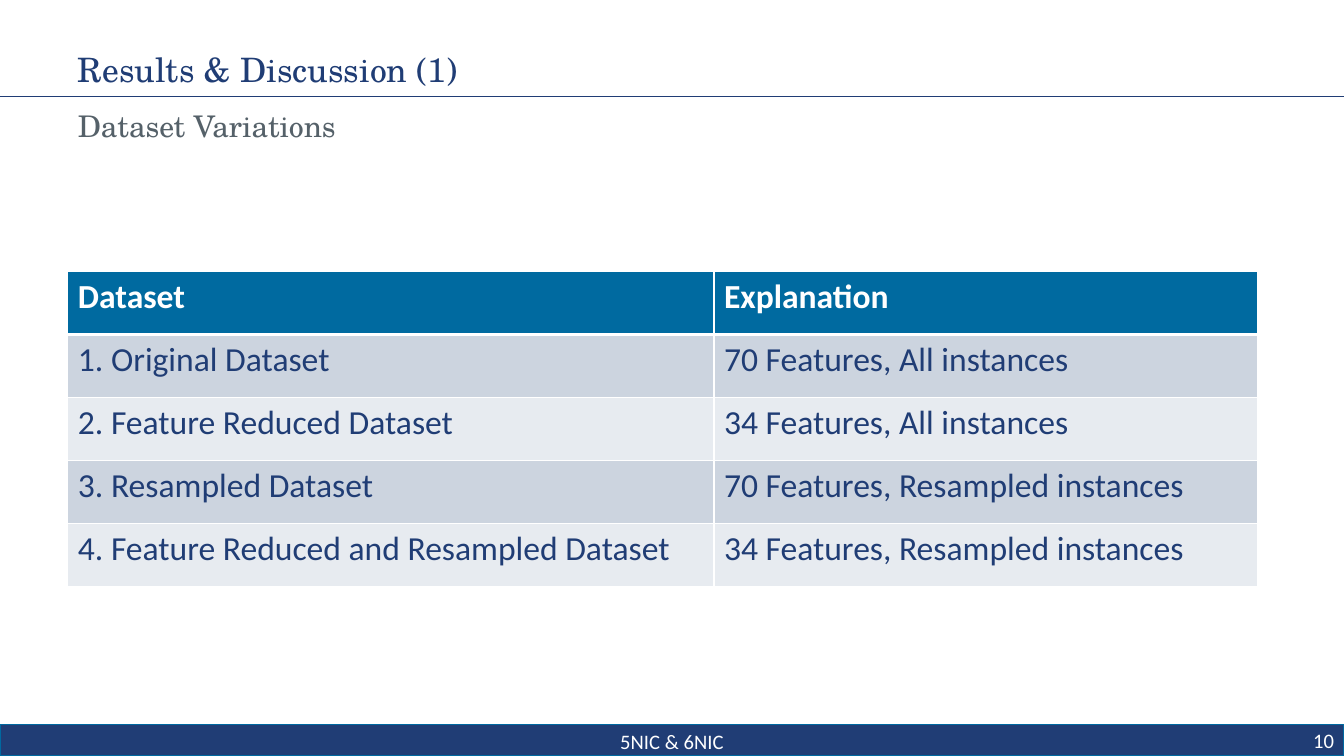
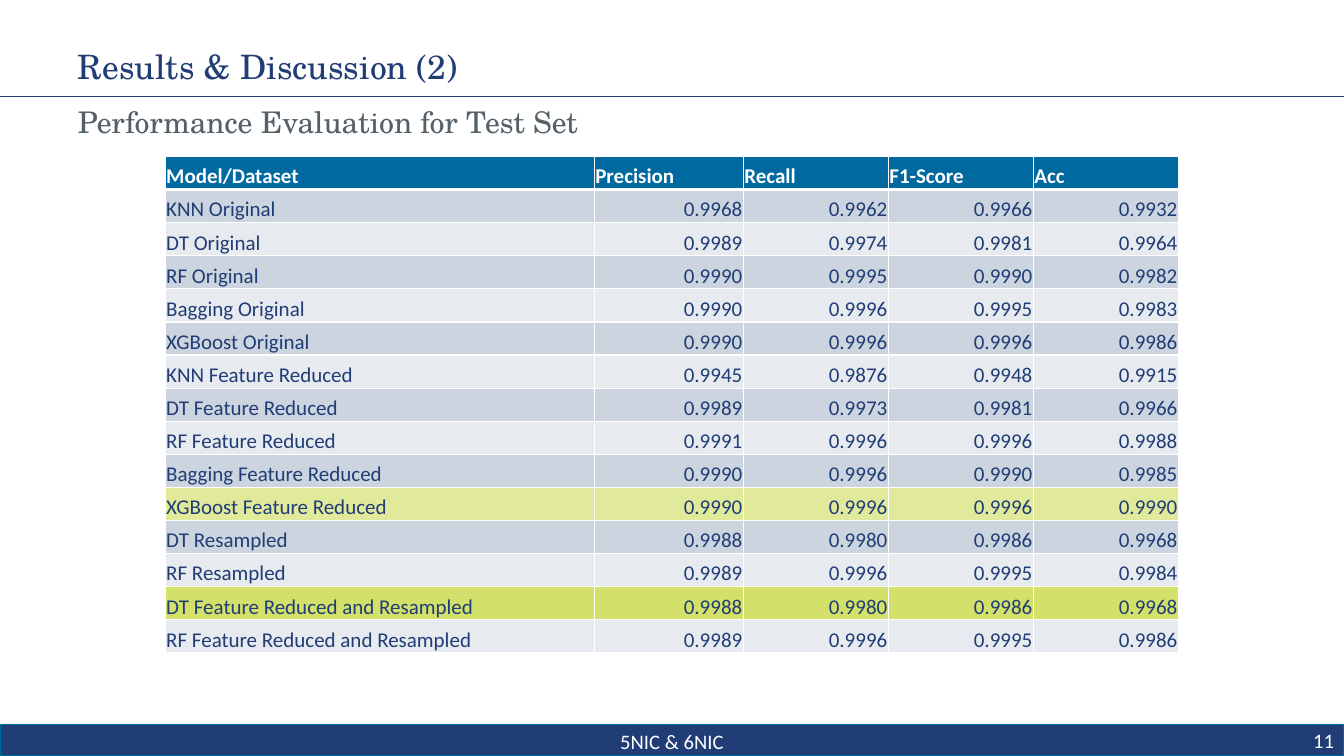
import pptx
import pptx.util
import pptx.dml.color
import pptx.enum.shapes
import pptx.enum.text
import pptx.oxml
import pptx.oxml.ns

Pt = pptx.util.Pt
ALIGN = pptx.enum.text.PP_ALIGN
ANCHOR = pptx.enum.text.MSO_ANCHOR
SERIF = "TeX Gyre Schola"
SANS = "Calibri"
WIDE, HIGH = 960, 540
LEFT = 48.5
COLORS = {
    "navy": "203D75",
    "gray": "556169",
    "white": "FFFFFF",
    "edge": "0069A0",
    "head": "006AA0",
    "dark": "CCD4DF",
    "light": "E7EBF0",
    "pale": "E1EA9B",
    "lime": "D3E069",
}
VARIANTS = [
    ["Dataset", "Explanation"],
    ["1. Original Dataset", "70 Features, All instances"],
    ["2. Feature Reduced Dataset", "34 Features, All instances"],
    ["3. Resampled Dataset", "70 Features, Resampled instances"],
    ["4. Feature Reduced and Resampled Dataset", "34 Features, Resampled instances"],
]
SCORES = [
    ["Model/Dataset", "Precision", "Recall", "F1-Score", "Acc"],
    ["KNN Original", "0.9968", "0.9962", "0.9966", "0.9932"],
    ["DT Original", "0.9989", "0.9974", "0.9981", "0.9964"],
    ["RF Original", "0.9990", "0.9995", "0.9990", "0.9982"],
    ["Bagging Original", "0.9990", "0.9996", "0.9995", "0.9983"],
    ["XGBoost Original", "0.9990", "0.9996", "0.9996", "0.9986"],
    ["KNN Feature Reduced", "0.9945", "0.9876", "0.9948", "0.9915"],
    ["DT Feature Reduced", "0.9989", "0.9973", "0.9981", "0.9966"],
    ["RF Feature Reduced", "0.9991", "0.9996", "0.9996", "0.9988"],
    ["Bagging Feature Reduced", "0.9990", "0.9996", "0.9990", "0.9985"],
    ["XGBoost Feature Reduced", "0.9990", "0.9996", "0.9996", "0.9990"],
    ["DT Resampled", "0.9988", "0.9980", "0.9986", "0.9968"],
    ["RF Resampled", "0.9989", "0.9996", "0.9995", "0.9984"],
    ["DT Feature Reduced and Resampled", "0.9988", "0.9980", "0.9986", "0.9968"],
    ["RF Feature Reduced and Resampled", "0.9989", "0.9996", "0.9995", "0.9986"],
]
MARKED = {10: "pale", 13: "lime"}


def color(name):
    return pptx.dml.color.RGBColor.from_string(COLORS[name])


def paint(item, name):
    item.fill.solid()
    item.fill.fore_color.rgb = color(name)


def write(para, text, size, font, ink, bold=False):
    run = para.add_run()
    run.text = text
    run.font.size = Pt(size)
    run.font.name = font
    run.font.bold = bold
    run.font.color.rgb = color(ink)


def label(slide, box, text, size, font, ink, align=ALIGN.LEFT,
          anchor=ANCHOR.MIDDLE, lines=None, before=0):
    frame = slide.shapes.add_textbox(*map(Pt, box)).text_frame
    frame.word_wrap = True
    frame.vertical_anchor = anchor
    para = frame.paragraphs[0]
    para.alignment = align
    para.line_spacing = lines
    para.space_before = Pt(before)
    write(para, text, size, font, ink)


def rule(slide, top):
    line = slide.shapes.add_connector(
        pptx.enum.shapes.MSO_CONNECTOR.STRAIGHT, 0, Pt(top), Pt(WIDE), Pt(top))
    line.line.color.rgb = color("navy")
    line.line.width = Pt(0.5)
    props = line._element.spPr
    props.append(props.makeelement(pptx.oxml.ns.qn("a:effectLst"), {}))


def footer(slide, number):
    top, tall = 517.5, 22.5
    band = slide.shapes.add_shape(
        pptx.enum.shapes.MSO_SHAPE.RECTANGLE, 0, Pt(top), Pt(WIDE), Pt(tall))
    band.shadow.inherit = False
    paint(band, "navy")
    band.line.color.rgb = color("edge")
    band.line.width = Pt(0.75)
    style = (14.7, SANS, "white")
    label(slide, (328, top + 0.5, 304, tall), "5NIC & 6NIC", *style, align=ALIGN.CENTER)
    label(slide, (738, top, 222, tall), str(number), *style, align=ALIGN.RIGHT)


def page(deck, number, title, topic, lines=None):
    slide = deck.slides.add_slide(deck.slide_layouts[6])
    rule(slide, 69)
    footer(slide, number)
    label(slide, (LEFT, 33, 775, 32.5), title, 24, SERIF, "navy", lines=lines)
    label(slide, (LEFT, 73.5, 873, 30), topic, 21.3, SERIF, "gray",
          anchor=ANCHOR.TOP, lines=lines, before=4.25)
    return slide


def border(cell, row):
    thick = {"lnT": 3 if row == 1 else 1, "lnB": 3 if row == 0 else 1}
    props = cell._tc.get_or_add_tcPr()
    for side in ("lnL", "lnR", "lnT", "lnB"):
        props.append(pptx.oxml.parse_xml(
            f'<a:{side} {pptx.oxml.ns.nsdecls("a")} w="{Pt(thick.get(side, 1))}">'
            f'<a:solidFill><a:srgbClr val="{COLORS["white"]}"/></a:solidFill>'
            f'</a:{side}>'))


def grid(slide, left, top, widths, tall, data, size, marked=(), tight=False):
    table = slide.shapes.add_table(
        len(data), len(widths), Pt(left), Pt(top),
        Pt(sum(widths)), Pt(tall * len(data))).table
    table.horz_banding = False
    for column, width in zip(table.columns, widths):
        column.width = Pt(width)
    for row, texts in enumerate(data):
        table.rows[row].height = Pt(tall)
        head = row == 0
        band = "head" if head else "dark" if row % 2 else "light"
        if row in marked:
            band = marked[row]
        for col, text in enumerate(texts):
            cell = table.cell(row, col)
            border(cell, row)
            paint(cell, band)
            para = cell.text_frame.paragraphs[0]
            if tight:
                cell.margin_left = cell.margin_right = cell.margin_top = Pt(0.75)
                cell.margin_bottom = 0
                cell.vertical_anchor = ANCHOR.BOTTOM
                if col and not head:
                    para.alignment = ALIGN.RIGHT
            write(para, text, size, SANS, "white" if head else "navy", head)


def main():
    deck = pptx.Presentation()
    deck.slide_width, deck.slide_height = Pt(WIDE), Pt(HIGH)
    slide = page(deck, 10, "Results & Discussion (1)", "Dataset Variations")
    grid(slide, LEFT, 194, [461.5, 388], 45, VARIANTS, 24)
    slide = page(deck, 11, "Results & Discussion (2)",
                 "Performance Evaluation for Test Set", lines=0.9)
    grid(slide, 118, 111.75, [306.5, 106.5] + [103.6] * 3, 23.66, SCORES, 15,
         marked=MARKED, tight=True)
    deck.save("out.pptx")


main()
